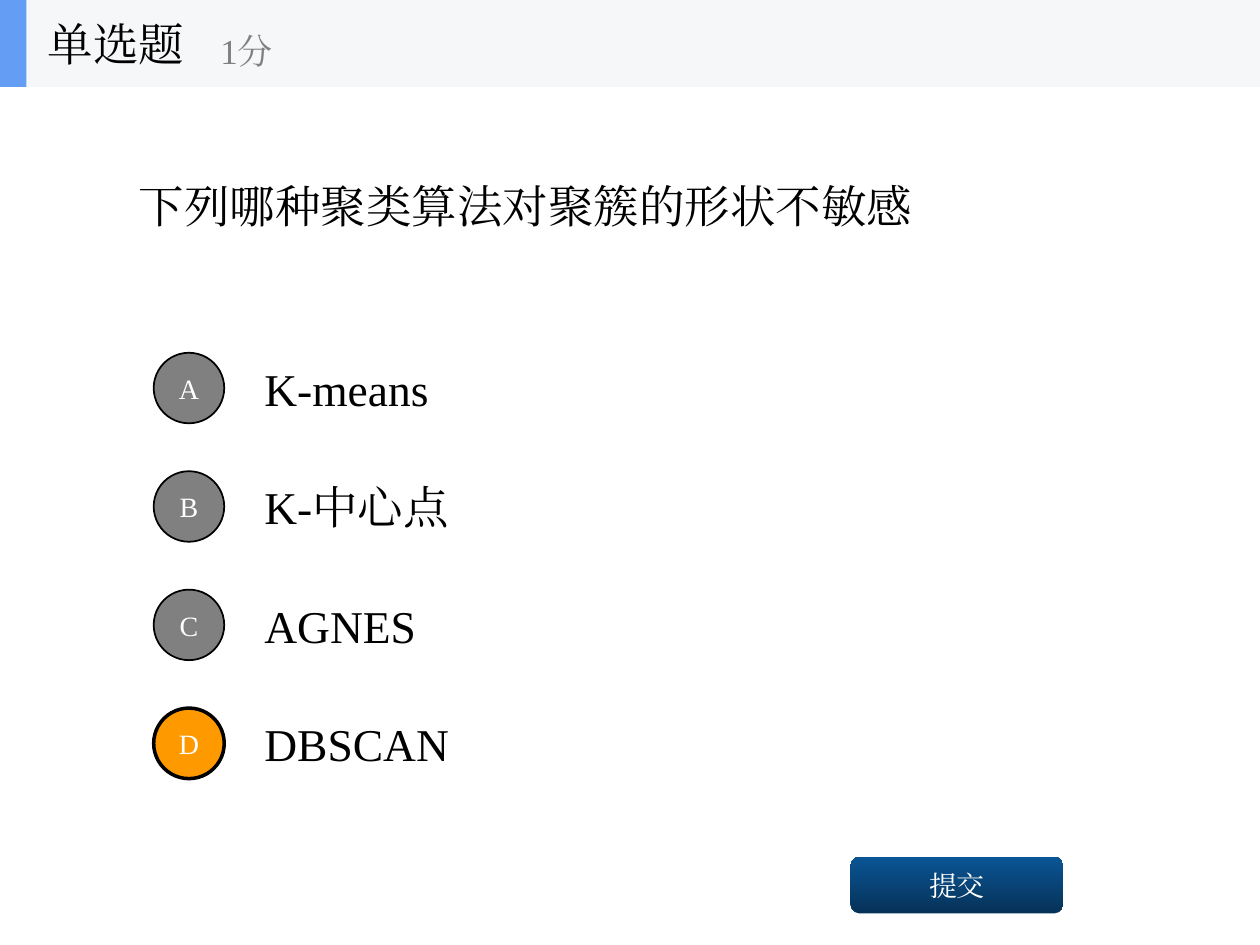
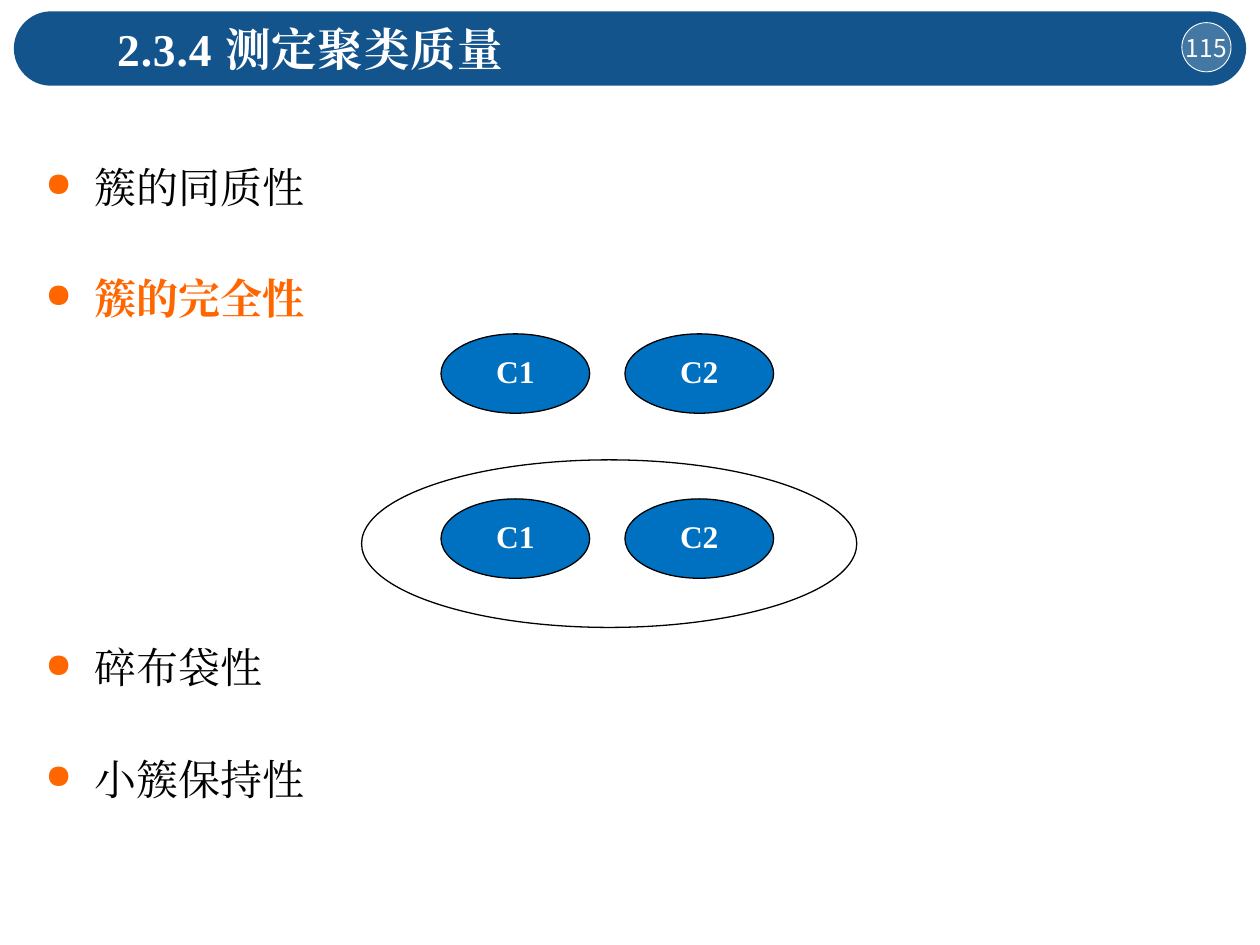
from dataclasses import dataclass

from lxml import etree
from pptx import Presentation
from pptx.dml.color import RGBColor
from pptx.enum import shapes as kinds, text as tx
from pptx.oxml import ns
from pptx.util import Inches, Pt

FONT = "Times New Roman"
CJK = "Noto Sans CJK SC"
BLACK, WHITE, GREY = "000000", "FFFFFF", "808080"
NAVY, BLUE, ORANGE, AMBER = "13548C", "0070C0", "FF6600", "FF9900"
LEFT, MID = tx.PP_ALIGN.LEFT, tx.PP_ALIGN.CENTER
TOP, CENTER = tx.MSO_ANCHOR.TOP, tx.MSO_ANCHOR.MIDDLE
RECT = kinds.MSO_SHAPE.RECTANGLE
ROUND = kinds.MSO_SHAPE.ROUNDED_RECTANGLE
OVAL = kinds.MSO_SHAPE.OVAL


@dataclass
class Box:
    left: float
    top: float
    width: float
    height: float

    def lengths(self) -> list:
        return [Inches(v) for v in (self.left, self.top, self.width, self.height)]


@dataclass
class Choice:
    mark: str
    label: str
    right: bool = False


@dataclass
class Point:
    label: str
    gap: float = 6
    key: bool = False


def paint(target, color: str) -> None:
    """Colour a fill or a line with a hex string."""
    fill = getattr(target, "fill", target)
    fill.solid()
    fill.fore_color.rgb = RGBColor.from_string(color)


def add(parent, tag: str, **attrs: str):
    return etree.SubElement(parent, ns.qn(tag), **attrs)


def style(para, *, size=26, color=BLACK, bold=False, font=FONT, track=0) -> None:
    for run in para.runs:
        face = run.font
        face.size, face.bold, face.name = Pt(size), bold, font
        face.color.rgb = RGBColor.from_string(color)
        props = run.font._element
        add(props, "a:ea", typeface=font)
        if track:
            props.set("spc", str(int(track * 100)))


def write(shape, words: str, *, align=LEFT, anchor=CENTER, wrap=True,
          inset=None, **look) -> None:
    """Put one formatted paragraph into a shape."""
    frame = shape.text_frame
    frame.text = words
    frame.auto_size = tx.MSO_AUTO_SIZE.NONE
    frame.word_wrap, frame.vertical_anchor = wrap, anchor
    if inset is not None:
        frame.margin_left = frame.margin_right = Inches(inset)
        frame.margin_top = frame.margin_bottom = Inches(inset)
    para = frame.paragraphs[0]
    para.alignment = align
    style(para, **look)


def draw(slide, kind, box: Box, fill="", line="", weight=0.75):
    shape = slide.shapes.add_shape(kind, *box.lengths())
    shape.shadow.inherit = False
    if fill:
        paint(shape, fill)
    else:
        shape.fill.background()
    if line:
        paint(shape.line, line)
        shape.line.width = Pt(weight)
    else:
        shape.line.fill.background()
    return shape


def label(slide, box: Box, words: str, **look) -> None:
    write(slide.shapes.add_textbox(*box.lengths()), words, **look)


def head(slide, box: Box, words: str, **look):
    """Place and format the title placeholder."""
    title = slide.shapes.title
    title.left, title.top, title.width, title.height = box.lengths()
    write(title, words, **look)
    return title


def bullet(para) -> None:
    props = para._p.get_or_add_pPr()
    props.set("marL", str(Inches(0.39)))
    props.set("indent", str(-Inches(0.39)))
    add(add(props, "a:buClr"), "a:srgbClr", val=ORANGE)
    add(props, "a:buSzPct", val="80000")
    add(props, "a:buChar", char="●")


def quiz(slide) -> None:
    head(slide, Box(1, 0.69, 8, 1.88), "下列哪种聚类算法对聚簇的形状不敏感")

    # Answer choices
    choices = [Choice("A", "K-means"), Choice("B", "K-中心点"),
               Choice("C", "AGNES"), Choice("D", "DBSCAN", True)]
    for i, item in enumerate(choices):
        top = 2.73 + i * 0.94
        label(slide, Box(2, top, 7, 0.7), item.label)
        disc = draw(slide, OVAL, Box(1.22, top + 0.07, 0.56, 0.56),
                    AMBER if item.right else GREY, BLACK, 2 if item.right else 1)
        write(disc, item.mark, size=16, color=WHITE, align=MID, inset=0)

    # Submit button
    button = draw(slide, ROUND, Box(6.75, 6.8, 1.69, 0.45))
    button.fill.gradient()
    button.fill.gradient_angle = 90
    for stop, color in zip(button.fill.gradient_stops, ("063258", "0A5595")):
        stop.color.rgb = RGBColor.from_string(color)
    write(button, "提交", size=16, color=WHITE, align=MID)

    # Question type strip
    draw(slide, RECT, Box(0, 0, 10, 0.69), "F6F7F8")
    draw(slide, RECT, Box(0, 0, 0.21, 0.69), "639EF4")
    label(slide, Box(0.28, 0, 2.08, 0.69), "单选题", wrap=False)
    label(slide, Box(1.65, 0.12, 2.5, 0.56), "1分", size=20, color=GREY, wrap=False)


def quality(slide) -> None:
    # Title band and page number
    title = head(slide, Box(0.83, 0.12, 7.42, 0.54), "2.3.4 测定聚类质量",
                 color=WHITE, bold=True, track=0.5, anchor=TOP)
    band = draw(slide, ROUND, Box(0.11, 0.09, 9.78, 0.59), NAVY)
    band.adjustments[0] = 0.5
    title._element.addprevious(band._element)
    badge = draw(slide, OVAL, Box(9.38, 0.18, 0.39, 0.39), WHITE, WHITE, 0.5)
    tint = badge._element.spPr.find(ns.qn("a:solidFill"))[0]
    add(tint, "a:alpha", val="21000")
    write(badge, "115", size=14, color=WHITE, font=CJK, align=MID, wrap=False, inset=0)

    # Clusters: apart above, merged below
    draw(slide, OVAL, Box(2.87, 3.65, 3.93, 1.33), line=BLACK)
    for top in (2.65, 3.96):
        for left, name in ((3.5, "C1"), (4.96, "C2")):
            blob = draw(slide, OVAL, Box(left, top, 1.18, 0.63), BLUE, BLACK)
            write(blob, name, size=18, color=WHITE, bold=True, align=MID, anchor=TOP)

    # Quality criteria
    points = [Point("簇的同质性", 0), Point("簇的完全性", key=True),
              Point("碎布袋性", 153.5), Point("小簇保持性")]
    frame = slide.shapes.add_textbox(*Box(0.28, 0.83, 2.76, 5.53).lengths()).text_frame
    frame.word_wrap = True
    frame.margin_left = frame.margin_right = Inches(0.08)
    for i, item in enumerate(points):
        para = frame.add_paragraph() if i else frame.paragraphs[0]
        para.text = item.label
        para.alignment = tx.PP_ALIGN.JUSTIFY
        para.line_spacing, para.space_before = 2.0, Pt(item.gap)
        bullet(para)
        style(para, size=24, color=ORANGE if item.key else BLACK, bold=item.key)


def main() -> None:
    deck = Presentation()
    deck.slide_width, deck.slide_height = Inches(10), Inches(7.5)
    for build in (quiz, quality):
        build(deck.slides.add_slide(deck.slide_layouts[5]))
    deck.save("out.pptx")


if __name__ == "__main__":
    main()
